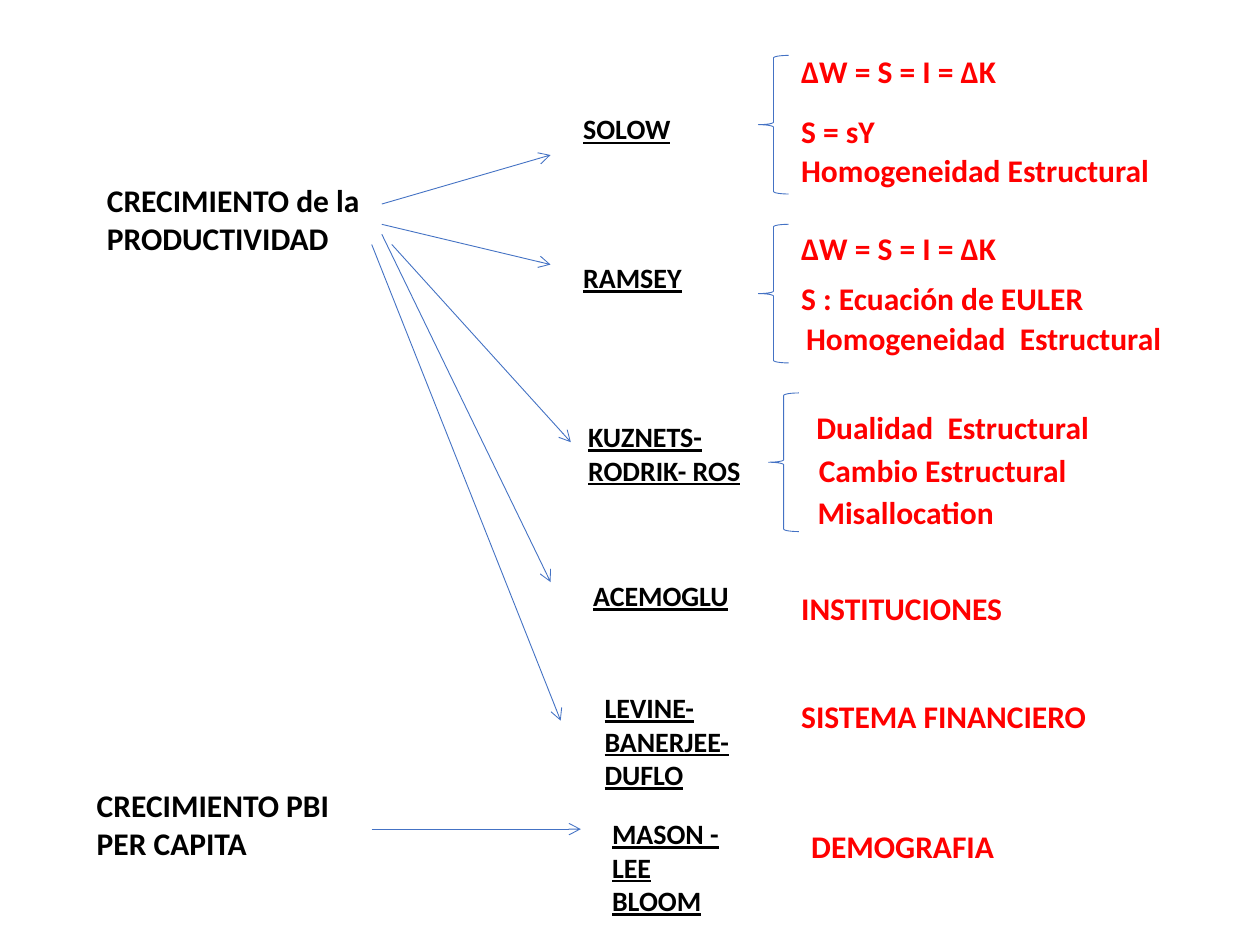
from lxml.etree import SubElement
from pptx import Presentation
from pptx.dml.color import RGBColor
from pptx.enum.shapes import MSO_CONNECTOR as Connector, MSO_SHAPE as Shape
from pptx.enum.text import MSO_ANCHOR as Anchor, MSO_AUTO_SIZE as AutoSize
from pptx.oxml.ns import qn
from pptx.util import Pt

BLACK, RED, BLUE = "000000", "FF0000", "4472C4"
FONT = "Calibri"
LINE_WIDTH = 0.5
NOTE_HEIGHT = 29
BRACE_WIDTH, BRACE_HEIGHT = 17.3, 79.2

# Content: left, top, width, height, paragraphs
topics = [
    (54, 100, 160, 51, ["CRECIMIENTO de la", "PRODUCTIVIDAD"]),
    (48.2, 445.7, 147.6, 51, ["CRECIMIENTO PBI", "PER CAPITA"]),
]
authors = [
    (326.2, 60.5, 90.7, 26.6, ["SOLOW"]),
    (326.2, 145.4, 90.7, 26.6, ["RAMSEY"]),
    (329, 236.2, 130.3, 65.5, ["KUZNETS-RODRIK- ROS"]),
    (331.9, 326.9, 108, 26.6, ["ACEMOGLU"]),
    (338.4, 391, 108, 65.5, ["LEVINE-", "BANERJEE-DUFLO"]),
    (342.7, 463, 108, 65.5, ["MASON -", "LEE", "BLOOM"]),
]
# Left, top, width, text, wrap
notes = [
    (450.7, 25.9, 127.4, "ΔW = S = I = ΔK", False),
    (450.7, 60.5, 56.9, "S = sY", False),
    (450.7, 82.8, 214.6, "Homogeneidad Estructural", False),
    (450.7, 127.4, 127.4, "ΔW = S = I = ΔK", False),
    (450.7, 155.5, 177.1, "S : Ecuación de EULER", False),
    (453.6, 178.6, 218.9, "Homogeneidad  Estructural", False),
    (459.4, 229.7, 171.4, "Dualidad  Estructural", False),
    (460.8, 254.2, 194.4, "Cambio Estructural", True),
    (460.1, 277.9, 194.4, "Misallocation", True),
    (450.7, 332.6, 130.3, "INSTITUCIONES", False),
    (450.7, 394.6, 178.6, "SISTEMA FINANCIERO", False),
    (456.5, 468.7, 120.2, "DEMOGRAFIA", False),
]
# Left, top
braces = [(433.4, 31.7), (433.4, 128.2), (439.2, 224.6)]
# Start x, start y, end x, end y
arrows = [
    (218.2, 116.6, 314.6, 88.6),
    (218.2, 128.2, 314.6, 151.2),
    (223.9, 139.7, 326.2, 252.7),
    (218.2, 133.9, 314.6, 332.6),
    (212.4, 139.7, 320.4, 411.8),
    (212.4, 473.8, 331.9, 473.8),
]


def color(hex_code):
    return RGBColor.from_string(hex_code)


def add_text(slide, box, lines, size, hex_code, wrap=False, underline=None,
             anchor=Anchor.TOP):
    frame = slide.shapes.add_textbox(*map(Pt, box)).text_frame
    frame.word_wrap = wrap
    frame.auto_size = AutoSize.SHAPE_TO_FIT_TEXT
    frame.vertical_anchor = anchor
    for index, line in enumerate(lines):
        paragraph = frame.add_paragraph() if index else frame.paragraphs[0]
        run = paragraph.add_run()
        run.text = line
        run.font.name = FONT
        run.font.size = Pt(size)
        run.font.bold = True
        run.font.underline = underline
        run.font.color.rgb = color(hex_code)


def style_line(shape):
    shape.line.color.rgb = color(BLUE)
    shape.line.width = Pt(LINE_WIDTH)


def add_arrow(slide, ends):
    arrow = slide.shapes.add_connector(Connector.STRAIGHT, *map(Pt, ends))
    style_line(arrow)
    properties = arrow.element.spPr
    SubElement(properties.find(qn("a:ln")), qn("a:tailEnd"), type="arrow")
    SubElement(properties, qn("a:effectLst"))


def add_brace(slide, left, top):
    brace = slide.shapes.add_shape(Shape.LEFT_BRACE, Pt(left), Pt(top),
                                   Pt(BRACE_WIDTH), Pt(BRACE_HEIGHT))
    brace.shadow.inherit = False
    brace.fill.background()
    style_line(brace)


def main():
    presentation = Presentation()
    presentation.slide_width, presentation.slide_height = Pt(720), Pt(540)
    slide = presentation.slides.add_slide(presentation.slide_layouts[6])

    # Growth topics and the authors they lead to
    for *box, lines in topics:
        add_text(slide, box, lines, 18, BLACK)
    for *box, lines in authors:
        add_text(slide, box, lines, 16, BLACK, wrap=True, underline=True)
    for ends in arrows:
        add_arrow(slide, ends)

    # Key ideas of each author
    for left, top in braces:
        add_brace(slide, left, top)
    for left, top, width, text, wrap in notes:
        add_text(slide, (left, top, width, NOTE_HEIGHT), [text], 18, RED,
                 wrap=wrap, anchor=Anchor.MIDDLE)

    presentation.save("out.pptx")


if __name__ == "__main__":
    main()
